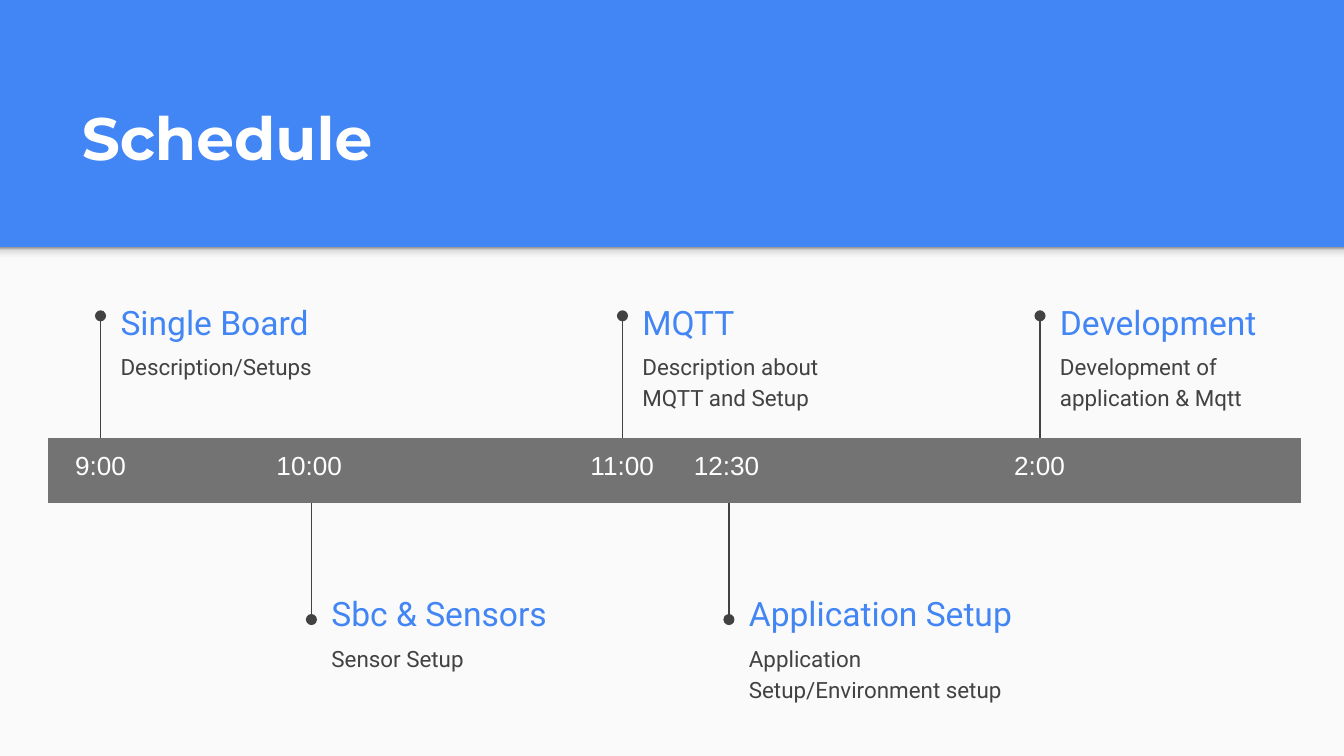
"""Build the schedule slide: a title band above a timeline of five sessions."""
from lxml import etree
from pptx import Presentation
from pptx.dml.color import RGBColor
from pptx.enum.shapes import MSO_CONNECTOR as CONNECTOR, MSO_SHAPE as SHAPE
from pptx.enum.text import MSO_ANCHOR as ANCHOR, PP_ALIGN as ALIGN
from pptx.oxml.ns import qn
from pptx.util import Inches, Pt

BLUE = RGBColor(0x42, 0x85, 0xF4)
PAPER = RGBColor(0xFA, 0xFA, 0xFA)
WHITE = RGBColor(0xFF, 0xFF, 0xFF)
INK = RGBColor(0x42, 0x42, 0x42)
BAR_GRAY = RGBColor(0x73, 0x73, 0x73)
SHADE = [(0, "F9F9F9"), (36, "F9F9F9"), (80, "DEDEDE"), (100, "999999")]
PLAIN_TABLE = "{2D5ABB26-0587-4C30-8999-92F81FD0307C}"

WIDTH = Inches(10)
HEIGHT = WIDTH * 9 // 16
BAND_BOTTOM = Inches(1.84)
COLUMNS = 12
BAR_LEFT, BAR_TOP, BAR_HEIGHT = Inches(0.36), Inches(3.26), Inches(0.48)
COLUMN = Inches(9.32) // COLUMNS
PAD = Inches(0.1)
LABEL_GAP = Inches(0.05)

ABOVE = {"share": 0.5, "start": 3.26, "end": 2.35, "heading": 2.18, "detail": 2.5}
BELOW = {"share": 0.52, "start": 3.69, "end": 4.61, "heading": 4.35, "detail": 4.67}
SESSIONS = [
    (0, "9:00", ABOVE, 1.98, "Single Board", "Description/Setups"),
    (2, "10:00", BELOW, 1.98, "Sbc & Sensors", "Sensor Setup"),
    (5, "11:00", ABOVE, 1.98, "MQTT", "Description about MQTT and Setup"),
    (6, "12:30", BELOW, 2.3, "Application Setup", "Application Setup/Environment setup"),
    (9, "2:00", ABOVE, 1.98, "Development", "Development of application & Mqtt"),
]


def write(holder, text, size, color, font="Roboto", bold=False,
          align=ALIGN.LEFT, anchor=ANCHOR.TOP, spacing=1.0):
    """Put formatted text in a text box or a table cell."""
    frame = holder.text_frame
    frame.word_wrap = True
    target = frame if hasattr(holder, "shape_id") else holder
    target.vertical_anchor = anchor
    target.margin_left = target.margin_right = PAD
    target.margin_top = target.margin_bottom = PAD
    paragraph = frame.paragraphs[0]
    paragraph.alignment = align
    paragraph.line_spacing = spacing
    run = paragraph.add_run()
    run.text = text
    run.font.size, run.font.name, run.font.bold = Pt(size), font, bold
    run.font.color.rgb = color


deck = Presentation()
deck.slide_width, deck.slide_height = WIDTH, HEIGHT
slide = deck.slides.add_slide(deck.slide_layouts[6])
slide.background.fill.solid()
slide.background.fill.fore_color.rgb = BLUE
shapes = slide.shapes

page = shapes.add_shape(SHAPE.RECTANGLE, 0, BAND_BOTTOM, WIDTH, HEIGHT - BAND_BOTTOM)
page.fill.solid()
page.fill.fore_color.rgb = PAPER

band_shade = shapes.add_shape(SHAPE.RECTANGLE, 0, BAND_BOTTOM, WIDTH, Inches(0.12))
band_shade.fill.gradient()
band_shade.fill.gradient_angle = 90
stops = band_shade.element.find(".//" + qn("a:gsLst"))
for stop in list(stops):
    stops.remove(stop)
for percent, tone in SHADE:
    stop = etree.SubElement(stops, qn("a:gs"), pos=str(percent * 1000))
    etree.SubElement(stop, qn("a:srgbClr"), val=tone)

for surface in (page, band_shade):
    surface.line.fill.background()
    surface.shadow.inherit = False

title = shapes.add_textbox(Inches(0.51), Inches(0.65), Inches(8.99), Inches(0.74))
write(title, "Schedule", size=32, color=WHITE, font="Montserrat", bold=True)

for column, hour, side, label_width, topic, description in SESSIONS:
    center = BAR_LEFT + int(COLUMN * (column + side["share"]))
    pin = shapes.add_connector(
        CONNECTOR.STRAIGHT, center, Inches(side["start"]), center, Inches(side["end"]))
    pin.line.color.rgb = INK
    pin.line.width = Pt(0.75)
    outline = pin.element.spPr.find(qn("a:ln"))
    etree.SubElement(outline, qn("a:tailEnd"), type="oval")
    etree.SubElement(pin.element.spPr, qn("a:effectLst"))

    label_left = center + LABEL_GAP
    heading = shapes.add_textbox(
        label_left, Inches(side["heading"]), Inches(label_width), Inches(0.43))
    write(heading, topic, size=18, color=BLUE, anchor=ANCHOR.MIDDLE)
    detail = shapes.add_textbox(
        label_left, Inches(side["detail"]), Inches(label_width), Inches(0.63))
    write(detail, description, size=12, color=INK, spacing=1.15)

bar = shapes.add_table(1, COLUMNS, BAR_LEFT, BAR_TOP, COLUMN * COLUMNS, BAR_HEIGHT)
bar.element.find(".//" + qn("a:tableStyleId")).text = PLAIN_TABLE
timeline = bar.table
timeline.first_row = timeline.horz_banding = False
for cell in timeline.iter_cells():
    cell.fill.solid()
    cell.fill.fore_color.rgb = BAR_GRAY
for column, hour, *_ in SESSIONS:
    write(timeline.cell(0, column), hour, size=14, color=WHITE, font="Arial",
          align=ALIGN.CENTER)

deck.save("out.pptx")
